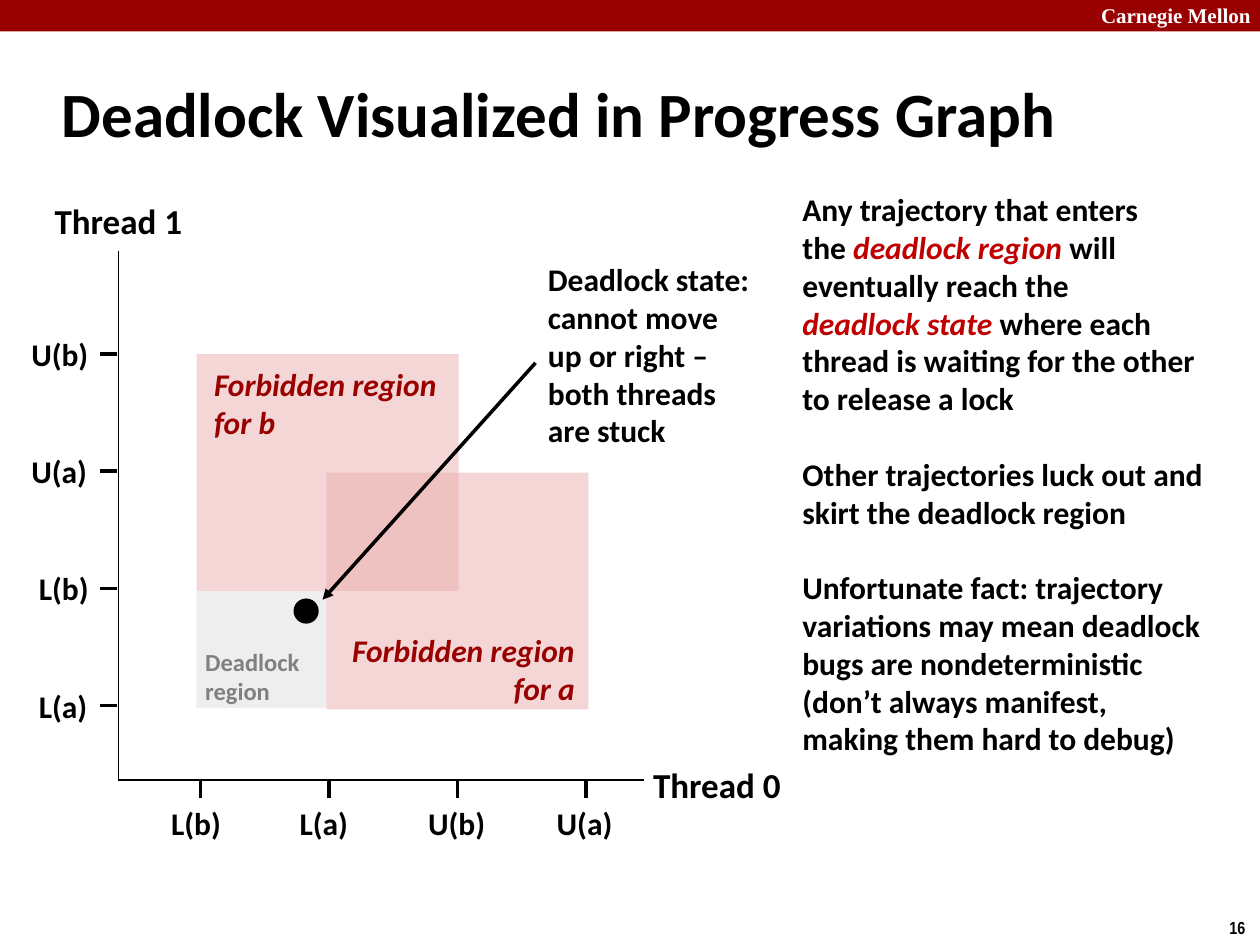
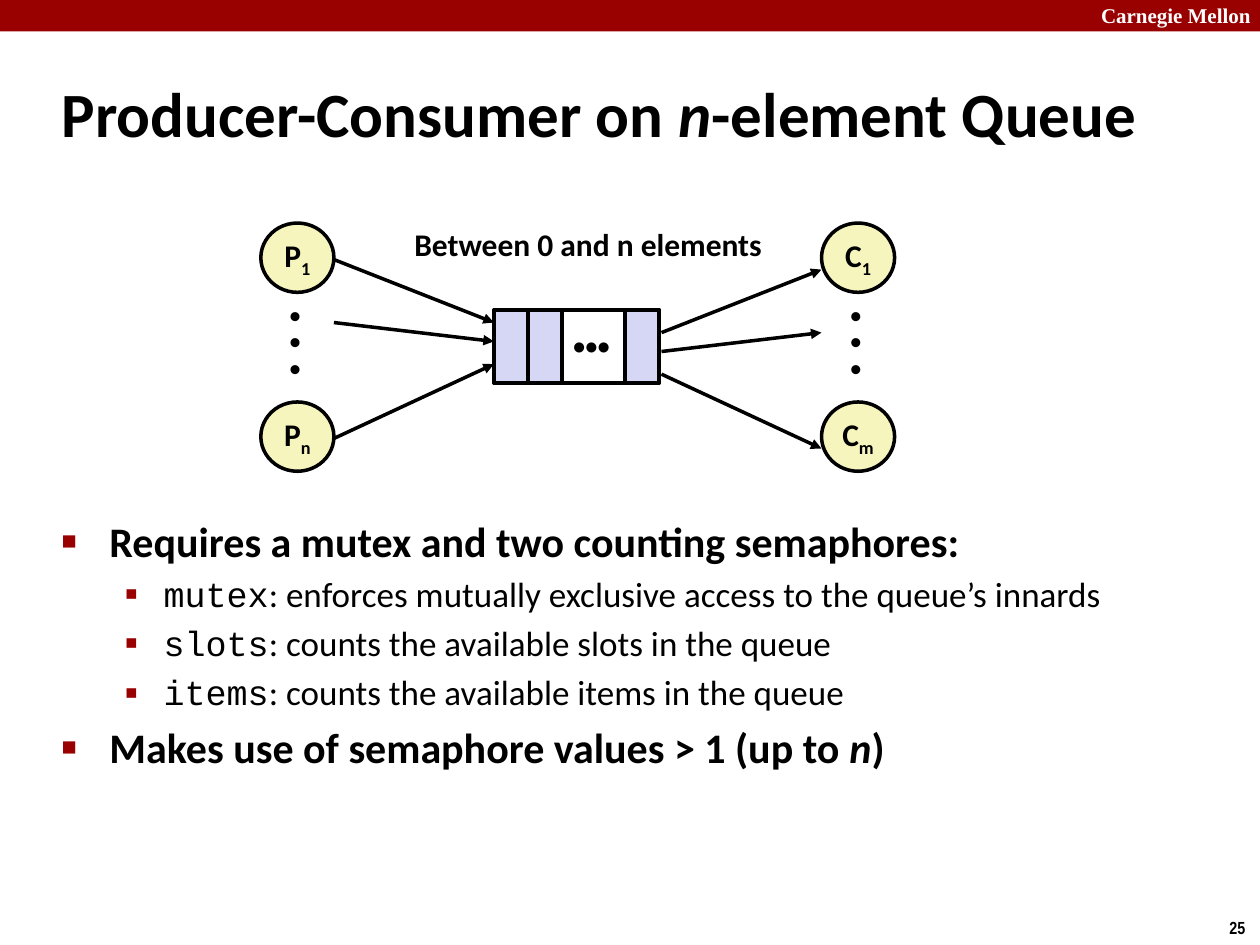
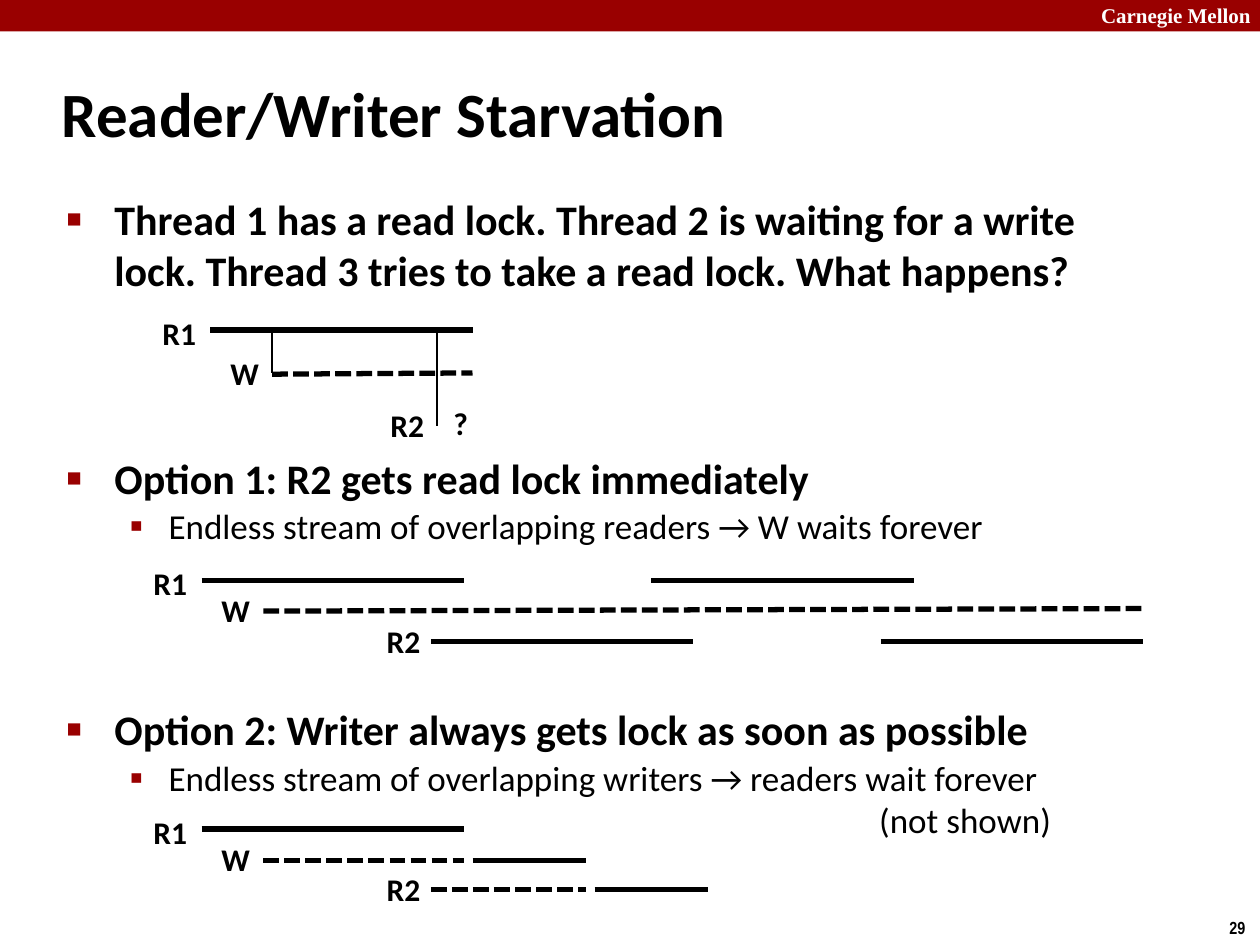
from lxml.etree import SubElement
from pptx import Presentation
from pptx.dml.color import RGBColor
from pptx.enum.dml import MSO_LINE
from pptx.enum.shapes import MSO_CONNECTOR, MSO_SHAPE
from pptx.enum.text import MSO_ANCHOR, PP_ALIGN
from pptx.oxml.ns import qn
from pptx.util import Pt

PX = 9144  # 100 px to the inch
COLORS = {
    "black": "000000", "white": "FFFFFF", "band": "990000", "accent": "C00000",
    "forbidden": "EBAFAF", "deadlock": "CCCCCC", "gray": "808080",
    "node": "F6F5BD", "slot": "D6D6F5",
}
RGB = {name: RGBColor.from_string(value) for name, value in COLORS.items()}


def add_box(slide, box, text="", size=18, color="black", font="Calibri", bold=True,
            align=PP_ALIGN.LEFT, anchor=MSO_ANCHOR.TOP, wrap=False, margin=5,
            spacing=None, kind=None, fill=None, outline=False, alpha=None):
    """Add a text box, or a shape of the given kind; "|" in the text parts runs."""
    box = [value * PX for value in box]
    if kind is None:
        shape = slide.shapes.add_textbox(*box)
    else:
        shape = slide.shapes.add_shape(kind, *box)
        shape.shadow.inherit = False
        if fill:
            shape.fill.solid()
            shape.fill.fore_color.rgb = RGB[fill]
        else:
            shape.fill.background()
        if alpha:
            color_node = shape._element.spPr.find(qn("a:solidFill"))[0]
            SubElement(color_node, qn("a:alpha")).set("val", str(alpha * 1000))
        if outline:
            shape.line.color.rgb = RGB["black"]
            shape.line.width = Pt(2)
        else:
            shape.line.fill.background()
    frame = shape.text_frame
    frame.word_wrap = wrap
    frame.vertical_anchor = anchor
    frame.margin_top = frame.margin_bottom = margin * PX
    if not text:
        return frame
    for i, line in enumerate(text.split("\n")):
        paragraph = frame.add_paragraph() if i else frame.paragraphs[0]
        paragraph.alignment = align
        if spacing:
            paragraph.line_spacing = spacing
        for part in line.split("|"):
            run = paragraph.add_run()
            run.text = part
            run.font.size = Pt(size)
            run.font.name = font
            run.font.bold = bold
            run.font.color.rgb = RGB[color]
    return frame


def add_line(slide, x1, y1, x2, y2, width=2, dashed=False, arrow=False):
    line = slide.shapes.add_connector(
        MSO_CONNECTOR.STRAIGHT, x1 * PX, y1 * PX, x2 * PX, y2 * PX)
    line.line.color.rgb = RGB["black"]
    line.line.width = Pt(width)
    if dashed:
        line.line.dash_style = MSO_LINE.SQUARE_DOT
    if arrow:
        SubElement(line.line._get_or_add_ln(), qn("a:tailEnd")).set("type", "triangle")
    SubElement(line._element.spPr, qn("a:effectLst"))


prs = Presentation()
prs.slide_width, prs.slide_height = 1000 * PX, 750 * PX

# Band, title and number of every slide
slides = []
for title, number in (
    ("Deadlock Visualized in Progress Graph", 16),
    ("Producer-Consumer on |n|-element Queue", 25),
    ("Reader/Writer Starvation", 29),
):
    slide = prs.slides.add_slide(prs.slide_layouts[5])
    slides.append(slide)
    add_box(slide, (0, 0, 1000, 25), kind=MSO_SHAPE.RECTANGLE, fill="band")
    add_box(slide, (864, -3, 143, 30), "Carnegie Mellon", 12, "white",
            "Times New Roman", wrap=True)
    add_box(slide, (966, 723, 34, 27), str(number), 10, font="Arial Narrow")
    heading = slide.shapes.title
    heading.left, heading.top = 39 * PX, 48 * PX
    heading.width, heading.height = 936 * PX, 83 * PX
    heading.text_frame.vertical_anchor = MSO_ANCHOR.MIDDLE
    paragraph = heading.text_frame.paragraphs[0]
    paragraph.alignment = PP_ALIGN.LEFT
    for part in title.split("|"):
        run = paragraph.add_run()
        run.text = part
        run.font.size = Pt(36)
        run.font.name = "Calibri"
        run.font.bold = True
        run.font.italic = part == "n"
        run.font.color.rgb = RGB["black"]
deadlock, queue, starvation = slides

# Progress graph
add_box(deadlock, (156, 469, 103, 93), kind=MSO_SHAPE.RECTANGLE, fill="deadlock", alpha=32)
remarks = add_box(
    deadlock, (627, 151, 340, 454),
    "Any trajectory that enters\n"
    "the |deadlock region |will\n"
    "eventually reach the\n"
    "deadlock state |where each thread is waiting for the other to release a lock\n"
    "Other trajectories luck out and skirt the deadlock region\n"
    "Unfortunate fact: trajectory variations may mean deadlock bugs are nondeterministic\n"
    "(don’t always manifest, making them hard to debug)",
    wrap=True, margin=0)
for paragraph in remarks.paragraphs:
    if paragraph.text.startswith(("Other", "Unfortunate")):
        paragraph.space_before = Pt(21.6)
    for run in paragraph.runs:
        if run.text in ("deadlock region ", "deadlock state "):
            run.font.italic = True
            run.font.color.rgb = RGB["accent"]

add_line(deadlock, 94, 619, 511, 619, 1)
add_line(deadlock, 94, 619, 94, 199, 1)
for thread, x, y in (("Thread 0", 508, 601), ("Thread 1", 33, 153)):
    add_box(deadlock, (x, y, 122, 44), thread, 20, align=PP_ALIGN.CENTER,
            anchor=MSO_ANCHOR.MIDDLE)
label_widths = {"L": 60, "U": 66}
for i, step in enumerate(("L(b)", "L(a)", "U(b)", "U(a)")):
    x = 159 + 102 * i
    add_line(deadlock, x, 619, x, 633)
    add_box(deadlock, (x - 33, 633, label_widths[step[0]], 40), step,
            anchor=MSO_ANCHOR.MIDDLE)
for i, step in enumerate(("U(b)", "U(a)", "L(b)", "L(a)")):
    y, width = 281 + 93 * i, label_widths[step[0]]
    add_line(deadlock, 79, y, 93, y)
    add_box(deadlock, (81 - width, y - 20, width, 40), step, anchor=MSO_ANCHOR.MIDDLE)

for x, y in ((156, 281), (259, 375)):
    add_box(deadlock, (x, y, 208, 188), kind=MSO_SHAPE.RECTANGLE, fill="forbidden", alpha=50)
for lock, x, y, align in (("b", 160, 285, PP_ALIGN.LEFT), ("a", 261, 496, PP_ALIGN.RIGHT)):
    region = add_box(deadlock, (x, y, 205, 71), f"Forbidden region\nfor {lock}",
                     color="band", align=align)
    for paragraph in region.paragraphs:
        paragraph.runs[0].font.italic = True
add_box(deadlock, (233, 475, 20, 20), kind=MSO_SHAPE.OVAL, fill="black")
add_box(deadlock, (425, 206, 181, 151),
        "Deadlock state: cannot move up or right – both threads are stuck",
        anchor=MSO_ANCHOR.MIDDLE, wrap=True, margin=0)
add_line(deadlock, 425, 288, 256, 476, arrow=True)
add_box(deadlock, (153, 513, 96, 47), "Deadlock\nregion", 14, "gray",
        anchor=MSO_ANCHOR.MIDDLE, margin=0)

# Producers, queue and consumers
for x, role, last in ((207, "P", "n"), (652, "C", "m")):
    for y, index in ((177, "1"), (319, last)):
        node = add_box(queue, (x, y, 58, 55), f"{role}|{index}", align=PP_ALIGN.CENTER,
                       anchor=MSO_ANCHOR.MIDDLE, margin=0, kind=MSO_SHAPE.OVAL,
                       fill="node", outline=True)
        node.paragraphs[0].runs[1].font._element.set("baseline", "-25000")
    add_box(queue, (x + 13, 238, 32, 75), "•\n•\n•", font="Arial", spacing=0.7)
for outer_y, queue_y in ((206, 256), (256, 271), (348, 289)):
    add_line(queue, 265, outer_y, 392, queue_y, arrow=True)
    add_line(queue, 525, queue_y + 8, 652, outer_y + 8, arrow=True)
for x in (392, 419, 496):
    add_box(queue, (x, 246, 27, 58), kind=MSO_SHAPE.RECTANGLE, fill="slot", outline=True)
add_box(queue, (419, 262, 101, 35), "•••", 20, font="Arial", align=PP_ALIGN.CENTER,
        wrap=True, spacing=0.7)
add_box(queue, (392, 246, 131, 58), kind=MSO_SHAPE.RECTANGLE, outline=True)
add_box(queue, (319, 174, 300, 40), "Between 0 and n elements")

# Bulleted text: level, space before, text
queue_points = (
    (0, 0, "Requires a mutex and two counting semaphores:"),
    (1, 4, "mutex|: enforces mutually exclusive access to the queue’s innards"),
    (1, 4, "slots|: counts the available slots in the queue"),
    (1, 4, "items|: counts the available items in the queue"),
    (0, 5, "Makes use of semaphore values > 1 (up to |n|)"),
)
starvation_points = (
    (0, 0, "Thread 1 has a read lock. Thread 2 is waiting for a write lock. "
           "Thread 3 tries to take a read lock. What happens?"),
    (0, 90, "Option 1: R2 gets read lock immediately"),
    (1, 1, "Endless stream of overlapping readers → W waits forever"),
    (0, 90, "Option 2: Writer always gets lock as soon as possible"),
    (1, 1, "Endless stream of overlapping writers → readers wait forever"),
    (2, 0, "(not shown)"),
)
# Left margin, hanging indent, text size, bullet, bullet size
levels = ((38, -38, 24, "■", 60), (81, -31, 20, "▪", 110), (645, 0, 20, None, None))
for slide, box, points in (
    (queue, (39, 404, 898, 193), queue_points),
    (starvation, (43, 149, 864, 584), starvation_points),
):
    frame = add_box(slide, box, "\n".join(text for _, _, text in points), wrap=True)
    for paragraph, (level, before, _) in zip(frame.paragraphs, points):
        left, indent, size, bullet, bullet_size = levels[level]
        if before:
            paragraph.space_before = Pt(before)
        properties = paragraph._p.get_or_add_pPr()
        properties.set("marL", str(left * PX))
        properties.set("indent", str(indent * PX))
        if bullet:
            bullet_color = SubElement(properties, qn("a:buClr"))
            SubElement(bullet_color, qn("a:srgbClr")).set("val", COLORS["band"])
            SubElement(properties, qn("a:buSzPct")).set("val", str(bullet_size * 1000))
            SubElement(properties, qn("a:buFont")).set("typeface", "Arial")
            SubElement(properties, qn("a:buChar")).set("char", bullet)
        for run in paragraph.runs:
            run.font.size = Pt(size)
            run.font.bold = level == 0
            run.font.italic = run.text == "n"
            if run.text in ("mutex", "slots", "items"):
                run.font.name = "Courier New"

# Lock timelines
for name, x, y in (
    ("R1", 119, 244), ("W", 173, 276), ("R2", 300, 317), ("?", 350, 316),
    ("R1", 112, 443), ("W", 166, 464), ("R2", 297, 489),
    ("R1", 112, 640), ("W", 166, 662), ("R2", 297, 686),
):
    add_box(starvation, (x, y, {"W": 43, "?": 32}.get(name, 47), 40), name)
for start, end, y in (
    (167, 375, 262),
    (160, 368, 461), (517, 725, 461), (342, 550, 509), (699, 907, 509),
    (160, 368, 658), (375, 465, 683), (472, 562, 706),
):
    add_line(starvation, start, y, end, y, 3)
for start, y1, end, y2 in (
    (216, 297, 375, 296), (209, 485, 907, 483), (209, 683, 368, 683), (342, 706, 465, 706),
):
    add_line(starvation, start, y1, end, y2, 3, dashed=True)
for x, bottom in ((216, 296), (347, 338)):
    add_line(starvation, x, bottom, x, 264, 1)

prs.save("out.pptx")
